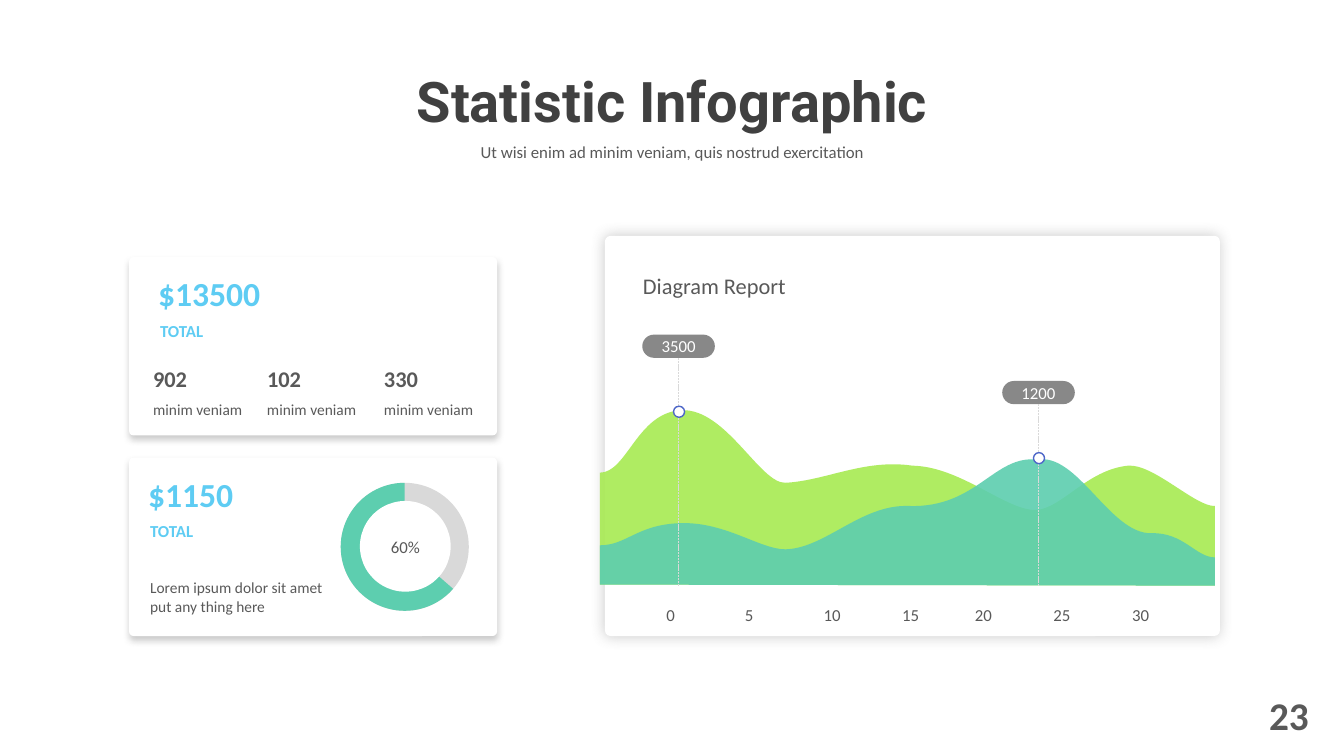
from lxml import etree
from pptx import Presentation
from pptx import util as u
from pptx.dml.color import RGBColor
from pptx.enum import dml, shapes, text
from pptx.oxml.ns import qn

PX = 9144
WHITE = RGBColor(0xFF, 0xFF, 0xFF)
DARK = RGBColor(0x40, 0x40, 0x40)
GREY = RGBColor(0x59, 0x59, 0x59)
LIGHT = RGBColor(0xD9, 0xD9, 0xD9)
SKY = RGBColor(0x5E, 0xCC, 0xF3)
LIME = RGBColor(0xA7, 0xEA, 0x52)
TEAL = RGBColor(0x5D, 0xCE, 0xAF)
BLUE = RGBColor(0x4E, 0x67, 0xC8)
LEFT, CENTER, RIGHT = text.PP_ALIGN.LEFT, text.PP_ALIGN.CENTER, text.PP_ALIGN.RIGHT
KIND = shapes.MSO_SHAPE

presentation = Presentation()
presentation.slide_width = 1333 * PX
presentation.slide_height = 750 * PX
slide = presentation.slides.add_slide(presentation.slide_layouts[5])


def add_label(words, left, top, width, height, size, colour=GREY, bold=False,
              align=LEFT, wrap=True, shape=None, font="Calibri"):
    if shape is None:
        shape = slide.shapes.add_textbox(left * PX, top * PX, width * PX, height * PX)
    frame = shape.text_frame
    frame.word_wrap = wrap
    frame.text = words
    paragraph = frame.paragraphs[0]
    paragraph.alignment = align
    for name, value in {"name": font, "size": u.Pt(size), "bold": bold}.items():
        setattr(paragraph.font, name, value)
    paragraph.font.color.rgb = colour
    return shape


def add_block(kind, left, top, width, height, fill, adjustments=(), shadow=None):
    shape = slide.shapes.add_shape(kind, left * PX, top * PX, width * PX, height * PX)
    shape.shadow.inherit = False
    shape.fill.solid()
    shape.fill.fore_color.rgb = fill
    shape.line.fill.background()
    for index, value in enumerate(adjustments):
        shape.adjustments[index] = value
    if shadow:
        blur, distance, angle = shadow
        effects = shape._element.spPr.find(qn("a:effectLst"))
        outer = etree.SubElement(effects, qn("a:outerShdw"), blurRad=str(u.Pt(blur)),
                                 dist=str(u.Pt(distance)), dir=str(angle * 60000),
                                 algn="ctr", rotWithShape="0")
        colour = etree.SubElement(outer, qn("a:srgbClr"), val="808080")
        etree.SubElement(colour, qn("a:alpha"), val="40000")
    return shape


title = slide.shapes.title
title_format = {"left": 396 * PX, "top": 61 * PX, "width": 541 * PX, "height": 77 * PX}
for name, value in title_format.items():
    setattr(title, name, value)
add_label("Statistic Infographic", 396, 61, 541, 77, 40, DARK, True, CENTER,
          shape=title, font="Roboto")
title.text_frame.vertical_anchor = text.MSO_ANCHOR.TOP
title.text_frame.auto_size = text.MSO_AUTO_SIZE.NONE
subtitle = add_label("Ut wisi enim ad minim veniam, quis nostrud exercitation",
                     449, 132, 436, 49, 12, align=CENTER)
subtitle.text_frame.paragraphs[0].line_spacing = 1.2
add_label("23", 1148, 681, 160, 57, 28, bold=True, align=RIGHT)

add_block(KIND.ROUNDED_RECTANGLE, 600, 234, 610, 397, WHITE, [0.014], (10, 0, 0))
add_label("Diagram Report", 616, 265, 185, 37, 16, align=CENTER)

translucent = []
areas = [
    (LIME, (595, 469), [
        (622, 469, 632, 409, 676, 407), (720, 405, 754, 480, 779, 479),
        (819, 477, 857, 455, 905, 462), (953, 463, 997, 506, 1027, 506),
        (1053, 505, 1078, 466, 1119, 462), (1144, 460, 1186, 503, 1205, 502)]),
    (TEAL, (595, 541), [
        (622, 541, 632, 520, 676, 519), (720, 518, 754, 545, 779, 545),
        (819, 544, 854, 500, 902, 502), (969, 504, 986, 451, 1029, 456),
        (1069, 449, 1101, 530, 1142, 529), (1174, 528, 1186, 553, 1205, 553)]),
]
for colour, start, curves in areas:
    builder = slide.shapes.build_freeform(*start, scale=PX)
    corners = [curve[-2:] for curve in curves] + [(1205, 581), (595, 580)]
    builder.add_line_segments(corners, close=True)
    area = builder.convert_to_shape()
    segments = list(area._element.spPr.iter(qn("a:lnTo")))
    for segment, curve in zip(segments, curves):
        segment.tag = qn("a:cubicBezTo")
        segment.remove(segment[0])
        for x, y in zip(curve[::2], curve[1::2]):
            etree.SubElement(segment, qn("a:pt"), x=str(x - area.left // PX),
                             y=str(y - area.top // PX))
    area.shadow.inherit = False
    area.fill.solid()
    area.fill.fore_color.rgb = colour
    area.line.fill.background()
    translucent.append((area, 90))

for words, left in zip(("0", "5", "10", "15", "20", "25", "30"),
                       (651, 729, 807, 885, 957, 1035, 1113)):
    add_label(words, left, 595, 21 + 8 * len(words), 30, 12, wrap=False)

for words, center, top in (("1200", 1030, 378), ("3500", 673, 332)):
    pill = add_block(KIND.ROUNDED_RECTANGLE, center - 36, top, 72, 23, DARK, [0.5])
    add_label(words, 0, 0, 0, 0, 12, WHITE, align=CENTER, shape=pill)
    pill.text_frame.margin_top = pill.text_frame.margin_bottom = 0
    translucent.append((pill, 62))
    guide = slide.shapes.add_connector(shapes.MSO_CONNECTOR.STRAIGHT, center * PX,
                                       (top + 23) * PX, center * PX, 581 * PX)
    guide.begin_connect(pill, 2)
    guide.line.color.rgb = LIGHT
    guide.line.width = u.Pt(0.5)
    guide.line.dash_style = dml.MSO_LINE.SQUARE_DOT
    etree.SubElement(guide._element.spPr, qn("a:effectLst"))
    marker = add_block(KIND.OVAL, center - 5, top + 71, 11, 11, WHITE)
    marker.line.color.rgb = BLUE
    marker.line.width = u.Pt(1)

for shape, opacity in translucent:
    colour = next(shape._element.spPr.iter(qn("a:srgbClr")))
    etree.SubElement(colour, qn("a:alpha"), val=str(opacity * 1000))

for amount, left, top in (("$13500", 147, 255), ("$1150", 137, 454)):
    add_block(KIND.ROUNDED_RECTANGLE, 128, top, 365, 177, WHITE, [0.025], (5, 3, 90))
    add_label(amount, left, top + 11, 238, 50, 24, SKY, True)
    add_label("TOTAL", left + 2, top + 58, 236, 30, 12, SKY, True)

for count, left in (("902", 142), ("102", 255), ("330", 371)):
    add_label(count, left, 357, 55, 37, 16, bold=True, wrap=False)
    add_label("minim veniam", left, 392, 110, 29, 11, wrap=False)

add_block(KIND.OVAL, 338, 479, 127, 127, LIGHT)
add_block(KIND.PIE, 338, 479, 127, 127, TEAL, [24.593, 162])
hole = add_block(KIND.OVAL, 357, 497, 90, 90, WHITE)
add_label("60%", 0, 0, 0, 0, 12, align=CENTER, shape=hole)
add_label("Lorem ipsum dolor sit amet put any thing here", 139, 569, 201, 47, 11)

presentation.save("out.pptx")
